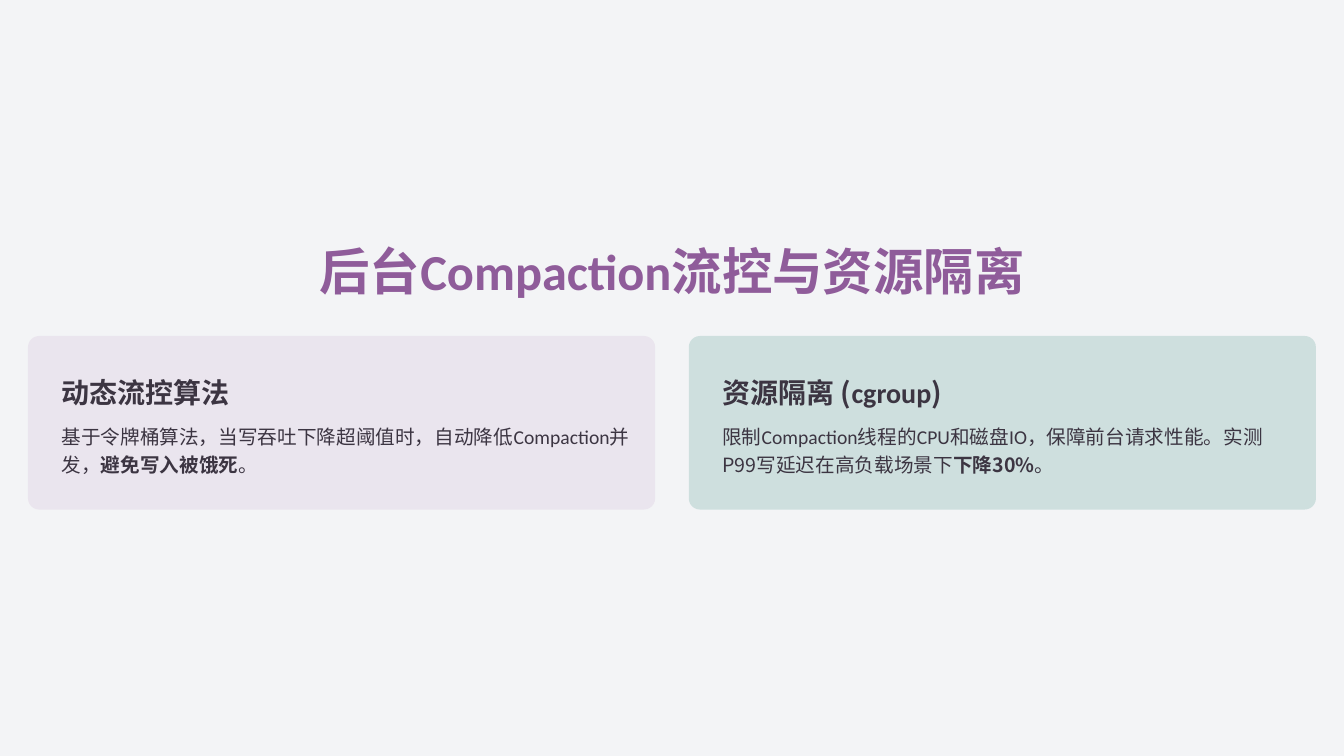
from dataclasses import dataclass

from lxml.etree import SubElement
from pptx import Presentation
from pptx.dml.color import RGBColor
from pptx.enum.shapes import MSO_SHAPE
from pptx.enum.text import MSO_ANCHOR, PP_ALIGN
from pptx.oxml.ns import qn
from pptx.util import Pt


@dataclass(frozen=True)
class Theme:
    cjk: str = "Noto Sans CJK SC"
    latin: str = "Calibri"
    background: str = "F3F4F6"
    title: str = "8F5C9A"
    ink: str = "3C3542"
    card_opacity: int = 25
    title_size: int = 36
    heading_size: int = 20
    body_size: int = 14


THEME = Theme()

# Content: these words use the Latin font; text in BOLD_PHRASES stands out in a body.
LATIN_WORDS = {"Compaction", "cgroup", "CPU", "IO"}
BOLD_PHRASES = {"避免写入被饿死", "下降30%"}
TITLE = ["后台", "Compaction", "流控与资源隔离"]
CARDS = [
    {
        "fill": "D3B9D7",
        "heading": ["动态流控算法"],
        "body": ["基于令牌桶算法，当写吞吐下降超阈值时，自动降低", "Compaction",
                 "并发，", "避免写入被饿死", "。"],
    },
    {
        "fill": "60A39A",
        "heading": ["资源隔离 (", "cgroup", ")"],
        "body": ["限制", "Compaction", "线程的", "CPU", "和磁盘", "IO",
                 "，保障前台请求性能。实测P99写延迟在高负载场景下", "下降30%", "。"],
    },
]

# Layout, in points
SLIDE_W, SLIDE_H = 960, 540
TITLE_BOX = (11, 176, 938, 40)
CARD_W, CARD_H, CARD_TOP, CARD_GAP = 448, 124, 240, 24
CARD_RADIUS = 8
PADDING = 24
HEADING_W, HEADING_H = 410, 28
BODY_W, BODY_H, BODY_OFFSET = 407, 40, 60


def add_text(slide, box, pieces, size, color, bold=False, spacing=1.2, align=PP_ALIGN.LEFT):
    frame = slide.shapes.add_textbox(*map(Pt, box)).text_frame
    frame.word_wrap = True
    frame.vertical_anchor = MSO_ANCHOR.MIDDLE
    frame.margin_left = frame.margin_right = frame.margin_top = frame.margin_bottom = 0
    paragraph = frame.paragraphs[0]
    paragraph.alignment = align
    paragraph.line_spacing = spacing
    paragraph.font.size = Pt(size)
    paragraph.font.color.rgb = RGBColor.from_string(color)
    for piece in pieces:
        run = paragraph.add_run()
        run.text = piece
        run.font.size = Pt(size)
        run.font.color.rgb = RGBColor.from_string(color)
        run.font.bold = bold or piece in BOLD_PHRASES
        run.font.name = THEME.latin if piece in LATIN_WORDS else THEME.cjk
        SubElement(run.font._element, qn("a:ea"), typeface=THEME.cjk)


def add_card(slide, left, card):
    panel = slide.shapes.add_shape(
        MSO_SHAPE.ROUNDED_RECTANGLE, Pt(left), Pt(CARD_TOP), Pt(CARD_W), Pt(CARD_H))
    panel.adjustments[0] = CARD_RADIUS / CARD_H
    panel.shadow.inherit = False
    panel.line.fill.background()
    panel.fill.solid()
    panel.fill.fore_color.rgb = RGBColor.from_string(card["fill"])
    color = panel._element.spPr.find(qn("a:solidFill"))[0]
    SubElement(color, qn("a:alpha"), val=str(THEME.card_opacity * 1000))

    text_left = left + PADDING
    add_text(slide, (text_left, CARD_TOP + PADDING, HEADING_W, HEADING_H),
             card["heading"], THEME.heading_size, THEME.ink, bold=True)
    add_text(slide, (text_left, CARD_TOP + BODY_OFFSET, BODY_W, BODY_H),
             card["body"], THEME.body_size, THEME.ink)


def main():
    deck = Presentation()
    deck.slide_width, deck.slide_height = Pt(SLIDE_W), Pt(SLIDE_H)
    slide = deck.slides.add_slide(deck.slide_layouts[6])
    slide.background.fill.solid()
    slide.background.fill.fore_color.rgb = RGBColor.from_string(THEME.background)

    add_text(slide, TITLE_BOX, TITLE, THEME.title_size, THEME.title,
             bold=True, spacing=0.9, align=PP_ALIGN.CENTER)
    row_width = len(CARDS) * CARD_W + (len(CARDS) - 1) * CARD_GAP
    first_left = (SLIDE_W - row_width) / 2
    for index, card in enumerate(CARDS):
        add_card(slide, first_left + index * (CARD_W + CARD_GAP), card)
    deck.save("out.pptx")


if __name__ == "__main__":
    main()
